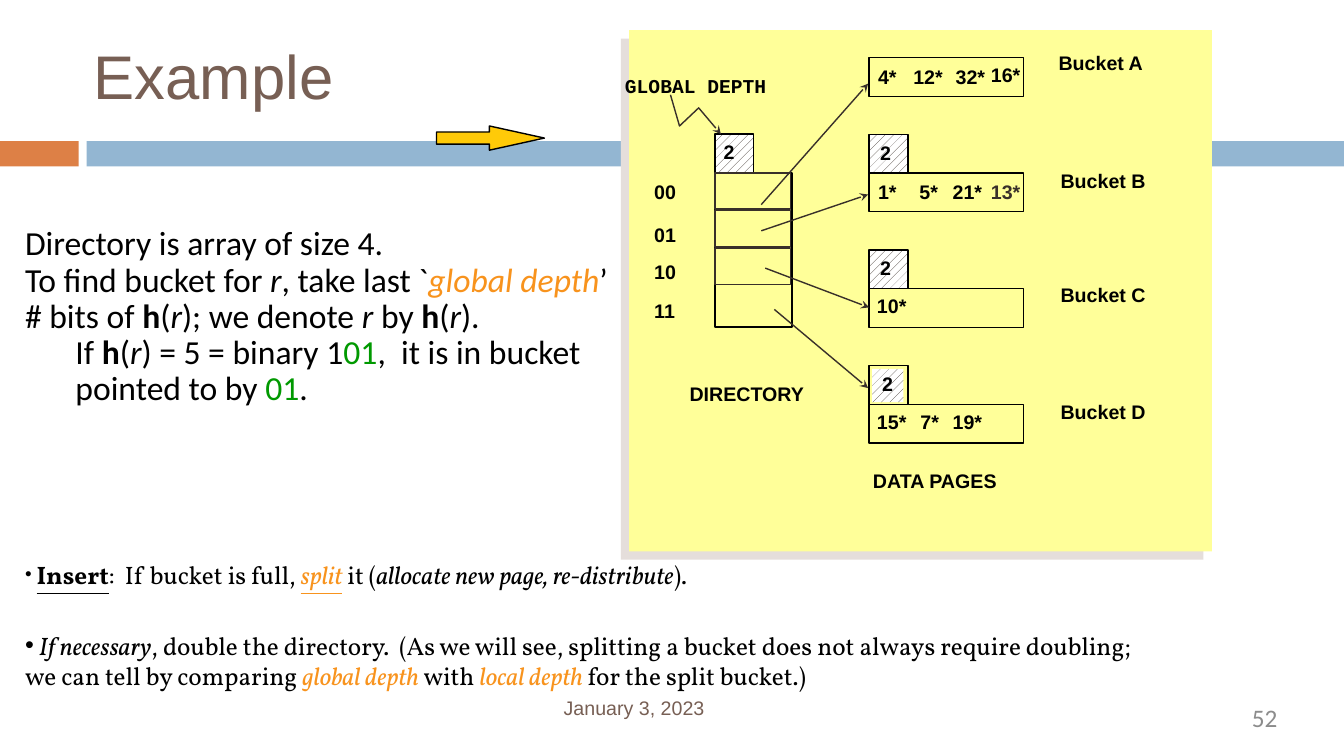
from dataclasses import dataclass

from lxml.etree import SubElement
from pptx import Presentation
from pptx.dml.color import RGBColor
from pptx.enum.dml import MSO_PATTERN
from pptx.enum.shapes import MSO_CONNECTOR, MSO_SHAPE
from pptx.enum.text import MSO_AUTO_SIZE, PP_ALIGN
from pptx.oxml.ns import qn
from pptx.util import Inches, Pt


@dataclass(frozen=True)
class Theme:
    ink: str = "000000"
    dark: str = "39302A"
    brown: str = "775F54"
    gray: str = "8C8C8C"
    rust: str = "DD8046"
    blue: str = "93B6D2"
    cream: str = "FFFF99"
    shade: str = "E5DEDB"
    gold: str = "FFCA08"
    orange: str = "F8931D"
    green: str = "009900"
    white: str = "FFFFFF"
    sans: str = "Arial"
    body: str = "Calibri"
    serif: str = "Vollkorn"
    code: str = "Courier New"
    title: int = 44
    large: int = 24
    mid: int = 18
    small: int = 14


LOOK = Theme()
MARKS = {
    "": {},
    "i": {"italic": True},
    "b": {"bold": True},
    "bu": {"bold": True, "under": True},
    "o": {"italic": True, "color": LOOK.orange},
    "ou": {"italic": True, "under": True, "color": LOOK.orange},
    "g": {"color": LOOK.green},
}


def tint(code):
    return RGBColor.from_string(code)


def write(par, text, font=LOOK.sans, size=LOOK.small, color=LOOK.ink,
          bold=False, italic=False, under=False):
    run = par.add_run()
    run.text = text
    face = run.font
    face.name, face.size = font, Pt(size)
    face.bold, face.italic, face.underline = bold, italic, under
    face.color.rgb = tint(color)


class Page:
    def __init__(self, deck, look, cell=0.1):
        self.look, self.cell = look, cell
        self.slide = deck.slides.add_slide(deck.slide_layouts[6])
        self.shapes = self.slide.shapes

    def span(self, *cells):
        return [Inches(n * self.cell) for n in cells]

    def text(self, place, pars, pad=True, wrap=True, grow=True, lead=None,
             dot=None, indent=(), align=PP_ALIGN.LEFT, **form):
        frame = self.shapes.add_textbox(*self.span(*place)).text_frame
        frame.word_wrap = wrap
        frame.auto_size = MSO_AUTO_SIZE.SHAPE_TO_FIT_TEXT if grow else MSO_AUTO_SIZE.NONE
        if not pad:
            frame.margin_left = frame.margin_right = 0
            frame.margin_top = frame.margin_bottom = 0
        for n, bits in enumerate(pars):
            par = frame.add_paragraph() if n else frame.paragraphs[0]
            par.alignment = align
            par.line_spacing = lead
            props = par._p.get_or_add_pPr()
            if n in indent:
                props.set("marL", str(Inches(0.5)))
                props.set("indent", "0")
            if dot:
                SubElement(props, qn("a:buSzPct"), val=str(dot * 1000))
                SubElement(props, qn("a:buFont"), typeface=self.look.sans)
                SubElement(props, qn("a:buChar"), char="•")
            for words, mark in bits:
                write(par, words, **{**form, **MARKS[mark]})

    def label(self, col, row, text, width=None, **form):
        if width is None:
            width = 2 + sum(0.76 if c == "*" else 1.08 for c in text)
        self.text((col, row, width, 3.3), [[(text, "")]], wrap=False,
                  **{"bold": True, **form})

    def paint(self, shape, fill=None, line=None):
        shape.shadow.inherit = False
        if fill == "hatch":
            shape.fill.patterned()
            shape.fill.pattern = MSO_PATTERN.PERCENT_20
            shape.fill.fore_color.rgb = tint(self.look.dark)
            shape.fill.back_color.rgb = tint(self.look.white)
        elif fill:
            shape.fill.solid()
            shape.fill.fore_color.rgb = tint(fill)
        else:
            shape.fill.background()
        if line:
            self.stroke(shape, line)
        else:
            shape.line.fill.background()

    def stroke(self, shape, color):
        shape.line.width = Pt(1)
        shape.line.color.rgb = tint(color)

    def tip(self, shape):
        SubElement(shape.element.spPr.find(qn("a:ln")), qn("a:tailEnd"), type="stealth")

    def box(self, *place, kind=MSO_SHAPE.RECTANGLE, **form):
        shape = self.shapes.add_shape(kind, *self.span(*place))
        self.paint(shape, **form)
        return shape

    def panel(self, *place):
        glow = self.box(*place, fill=self.look.cream).element.spPr.find(qn("a:effectLst"))
        drop = SubElement(glow, qn("a:outerShdw"), blurRad="0", dist=str(Pt(8.5)),
                          dir=str(135 * 60000), algn="ctr", rotWithShape="0")
        SubElement(drop, qn("a:srgbClr"), val=self.look.shade)

    def arrow(self, *ends):
        line = self.shapes.add_connector(MSO_CONNECTOR.STRAIGHT, *self.span(*ends))
        self.stroke(line, self.look.dark)
        self.tip(line)
        SubElement(line.element.spPr, qn("a:effectLst"))

    def bent(self, *spots):
        first, *rest = [self.span(*spot) for spot in spots]
        pen = self.shapes.build_freeform(*first)
        pen.add_line_segments(rest, close=False)
        shape = pen.convert_to_shape()
        self.paint(shape, line=self.look.dark)
        self.tip(shape)


BUCKETS = [
    ("A", 104, 4.6, 5.9, [("4*", 86.1), ("12*", 89.6), ("32*", 93.8)]),
    ("B", 104.2, 16.3, 17.4, [("1*", 86.1), ("5*", 90.2), ("21*", 93.5)]),
    ("C", 104.2, 27.6, 28.7, [("10*", 86)]),
    ("D", 104.2, 39.2, 40.2, [("15*", 86), ("7*", 90.3), ("19*", 93.5)]),
]
ENTRIES = [("00", 17.4), ("01", 21.6), ("10", 25.3), ("11", 29.2)]
LINKS = [(75.5, 20.3, 86.1, 8.3), (75.5, 22.9, 86.1, 19.3),
         (75.9, 26.6, 86.2, 30.5), (76.8, 30.7, 86.1, 38.5)]
INTRO = [
    [("Directory is array of size 4.", "")],
    [("To find bucket for ", ""), ("r", "i"), (", take last `", ""),
     ("global depth", "o"), ("’ # bits of ", ""), ("h", "b"), ("(", ""),
     ("r", "i"), ("); we denote ", ""), ("r", "i"), (" by ", ""), ("h", "b"),
     ("(", ""), ("r", "i"), (").", "")],
    [("If ", ""), ("h", "b"), ("(", ""), ("r", "i"), (") = 5 = binary 1", ""),
     ("01", "g"), (",  it is in bucket pointed to by ", ""), ("01", "g"), (".", "")],
]
INSERT = [[(" ", ""), ("Insert", "bu"), (":  If bucket is full, ", ""), ("split", "ou"),
           (" it (", ""), ("allocate new page, re-distribute", "i"), (").", "")]]
DOUBLE = [[(" ", ""), ("If necessary", "i"),
           (", double the directory.  (As we will see, splitting a bucket does not "
            "always require doubling; we can tell by comparing ", ""),
           ("global depth ", "o"), ("with ", ""), ("local depth ", "o"),
           ("for the split bucket.)", "")]]


def frame(page):
    look = page.look
    page.box(0, 14, 7.8, 2.5, fill=look.rust)
    page.box(8.6, 14, 124.7, 2.5, fill=look.blue)
    page.text((9.3, 3.8, 114.7, 7.6), [[("Example", "")]], pad=False,
              size=look.title, color=look.brown)
    page.text((55.9, 69.2, 30.9, 2.2), [[("January 3, 2023", "")]], pad=False,
              lead=Pt(15.8), color=look.brown)
    page.text((96, 69.7, 30.7, 3), [[("52", "")]], pad=False, align=PP_ALIGN.RIGHT,
              font=look.body, size=look.mid, color=look.gray)


def prose(page):
    look = page.look
    page.text((1.5, 22, 60.8, 27.5), INTRO, grow=False, lead=0.9, indent=(2,),
              font=look.body, size=look.large)
    page.text((1.5, 55, 88.5, 4), INSERT, dot=75, font=look.serif, size=look.mid)
    page.text((1.5, 62, 113.6, 7), DOUBLE, dot=100, font=look.serif, size=look.mid)
    sign = page.box(43.3, 12.5, 10.7, 2.4, kind=MSO_SHAPE.RIGHT_ARROW,
                    fill=look.gold, line=look.ink)
    sign.adjustments[0], sign.adjustments[1] = 0.5, 2.27


def buckets(page):
    ink = page.look.ink
    for n, (name, col, row, line, items) in enumerate(BUCKETS):
        top = 5.7 + 11.47 * n
        page.box(86.2, top, 15.3, 3.85, line=ink)
        if n:
            last = n == len(BUCKETS) - 1
            page.box(86.2, top - 3.85, 3.85, 3.85, fill=None if last else "hatch", line=ink)
            if last:
                page.box(86.5, top - 3.5, 3.1, 3.3, fill="hatch")
            page.label(86.5 if last else 86.3, top - 3.7, "2")
        for text, left in items:
            page.label(left, line, text)
        page.label(col, row, f"Bucket {name}", 10.5)
    page.label(97.3, 5.8, "16*")
    page.label(97.3, 17.4, "13*", color=page.look.dark)
    page.label(85.6, 46, "DATA PAGES", 14.4)


def index(page):
    look = page.look
    page.box(70.9, 13.3, 3.85, 3.85, fill="hatch", line=look.ink)
    page.box(70.9, 17.15, 7.65, 15.3, line=look.ink)
    page.label(70.8, 13.4, "2")
    for text, row in ENTRIES:
        page.label(63.9, row, text)
    for n in range(3):
        page.box(70.9, 17.15 + 3.75 * n, 7.5, 3.6, line=look.dark)
    page.label(61, 6.8, "GLOBAL DEPTH", 16.1, font=look.code)
    page.label(67.4, 37.4, "DIRECTORY", 13.5)
    page.bent((66.5, 9.4), (67.4, 12.5), (69.3, 10.7), (71.5, 13.3))
    for link in LINKS:
        page.arrow(*link)


def main():
    deck = Presentation()
    deck.slide_width, deck.slide_height = Inches(13.33), Inches(7.5)
    page = Page(deck, LOOK)
    frame(page)
    page.panel(62.4, 3, 57.8, 51.7)
    prose(page)
    buckets(page)
    index(page)
    deck.save("out.pptx")


if __name__ == "__main__":
    main()
